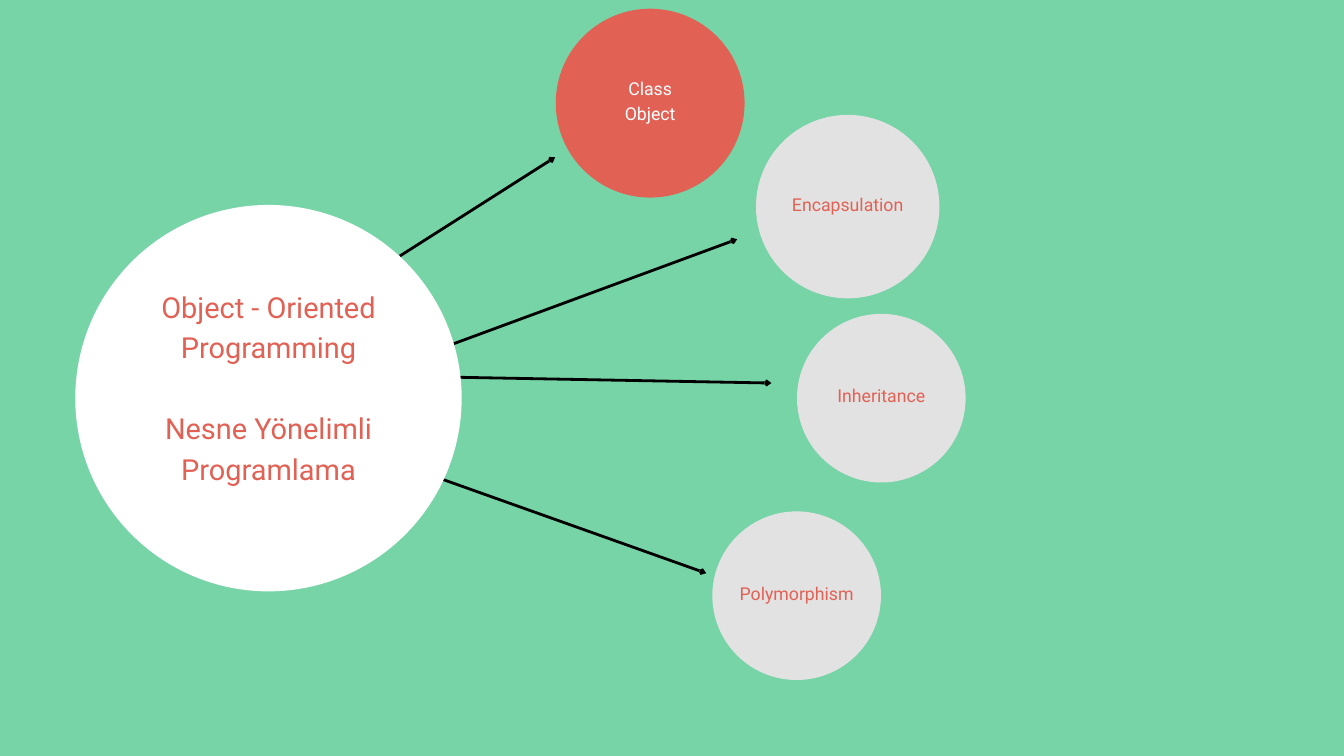
from lxml.etree import SubElement
from pptx import Presentation
from pptx.dml.color import RGBColor
from pptx.enum.shapes import MSO_CONNECTOR, MSO_SHAPE
from pptx.enum.text import MSO_ANCHOR, PP_ALIGN
from pptx.oxml.ns import qn
from pptx.util import Inches, Pt

GREEN, RED, GREY, WHITE, BLACK = "77D4A7", "E16155", "E2E2E2", "FFFFFF", "000000"

# Start and end of each arrow
ARROWS = [
    ((5.95, 3.81), (8.26, 2.34)),
    ((6.71, 5.13), (10.97, 3.56)),
    ((6.58, 5.61), (11.48, 5.7)),
    ((5.93, 6.9), (10.51, 8.53)),
]

# Left, top, diameter, fill, paragraphs, text format
MAIN = dict(size=31, color=RED, gap=43.4, lift=0.2)
CIRCLES = [
    (1.12, 3.05, 5.75, WHITE,
     ["Object - Oriented Programming", "Nesne Yönelimli Programlama"], MAIN),
    (8.27, 0.13, 2.81, RED, ["Class", "Object"], dict(color=WHITE)),
    (11.25, 1.71, 2.73, GREY, ["Encapsulation"], {}),
    (11.86, 4.67, 2.51, GREY, ["Inheritance"], {}),
    (10.6, 7.61, 2.51, GREY, ["Polymorphism"], {}),
]


def rgb(value):
    return RGBColor.from_string(value)


def write(shape, paragraphs, size=19, color=RED, gap=0, lift=0.06):
    """Centre the paragraphs in a shape, raised by lift inches, gap points apart."""
    tf = shape.text_frame
    tf.word_wrap = True
    tf.vertical_anchor = MSO_ANCHOR.MIDDLE
    tf.margin_left = tf.margin_right = tf.margin_top = 0
    tf.margin_bottom = Inches(2 * lift)
    for i, text in enumerate(paragraphs):
        p = tf.paragraphs[0] if i == 0 else tf.add_paragraph()
        p.alignment = PP_ALIGN.CENTER
        p.line_spacing = Pt(1.4 * size)
        if i:
            p.space_before = Pt(gap)
        r = p.add_run()
        r.text = text
        r.font.name = "Roboto"
        r.font.size = Pt(size)
        r.font.color.rgb = rgb(color)


def add_arrow(s, start, end):
    points = [Inches(v) for v in start + end]
    line = s.shapes.add_connector(MSO_CONNECTOR.STRAIGHT, *points)
    line.line.color.rgb = rgb(BLACK)
    line.line.width = Pt(3)
    SubElement(line.line._get_or_add_ln(), qn("a:tailEnd"),
               type="arrow", w="sm", len="sm")
    SubElement(line._element.spPr, qn("a:effectLst"))


def add_circle(s, left, top, diameter, fill):
    circle = s.shapes.add_shape(MSO_SHAPE.OVAL, Inches(left), Inches(top),
                                Inches(diameter), Inches(diameter))
    circle.shadow.inherit = False
    circle.fill.solid()
    circle.fill.fore_color.rgb = rgb(fill)
    circle.line.fill.background()
    return circle


def main():
    prs = Presentation()
    prs.slide_width, prs.slide_height = Inches(20), Inches(11.25)
    s = prs.slides.add_slide(prs.slide_layouts[6])
    s.background.fill.solid()
    s.background.fill.fore_color.rgb = rgb(GREEN)
    for start, end in ARROWS:
        add_arrow(s, start, end)
    for left, top, diameter, fill, paragraphs, style in CIRCLES:
        write(add_circle(s, left, top, diameter, fill), paragraphs, **style)
    prs.save("out.pptx")


if __name__ == "__main__":
    main()
